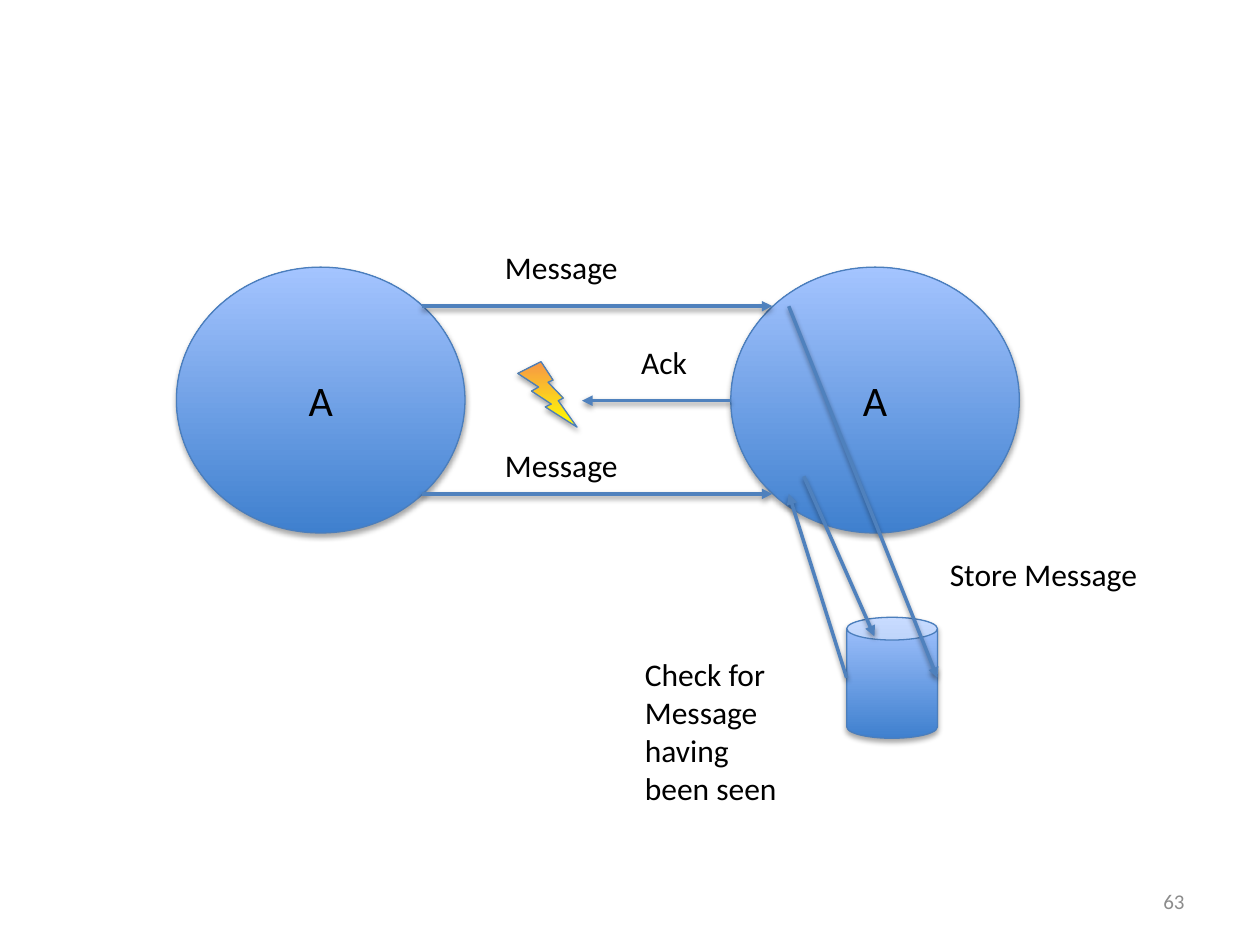
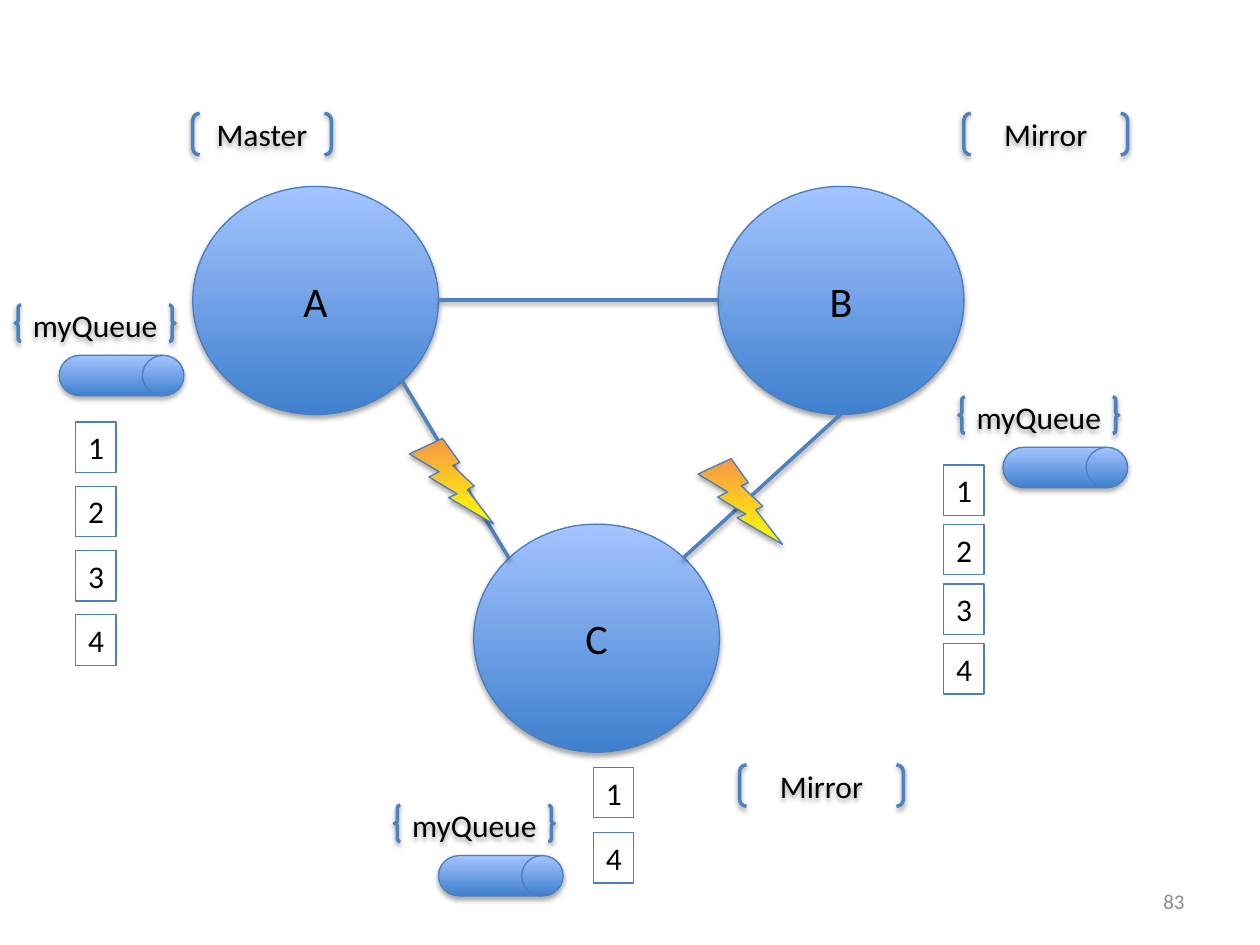
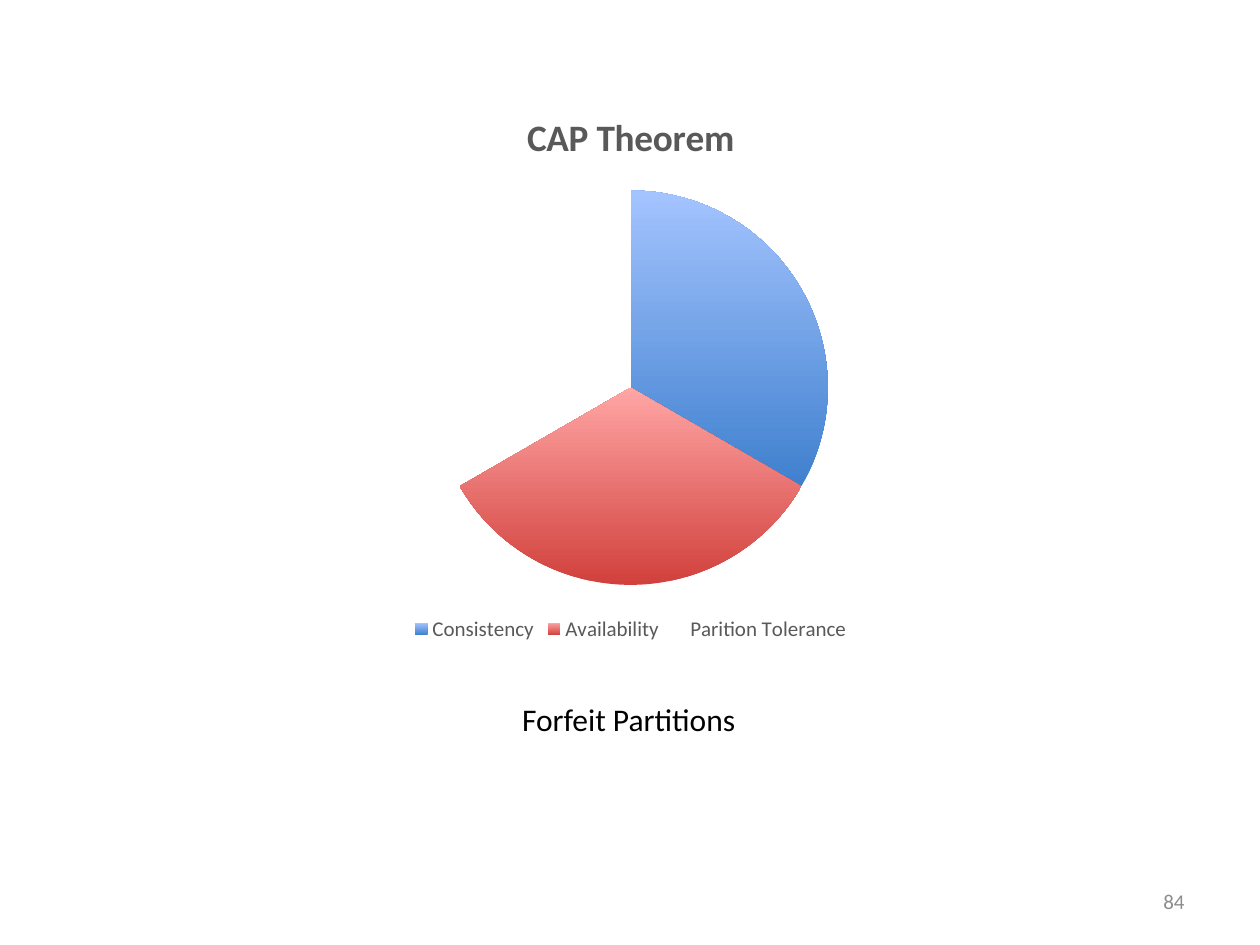
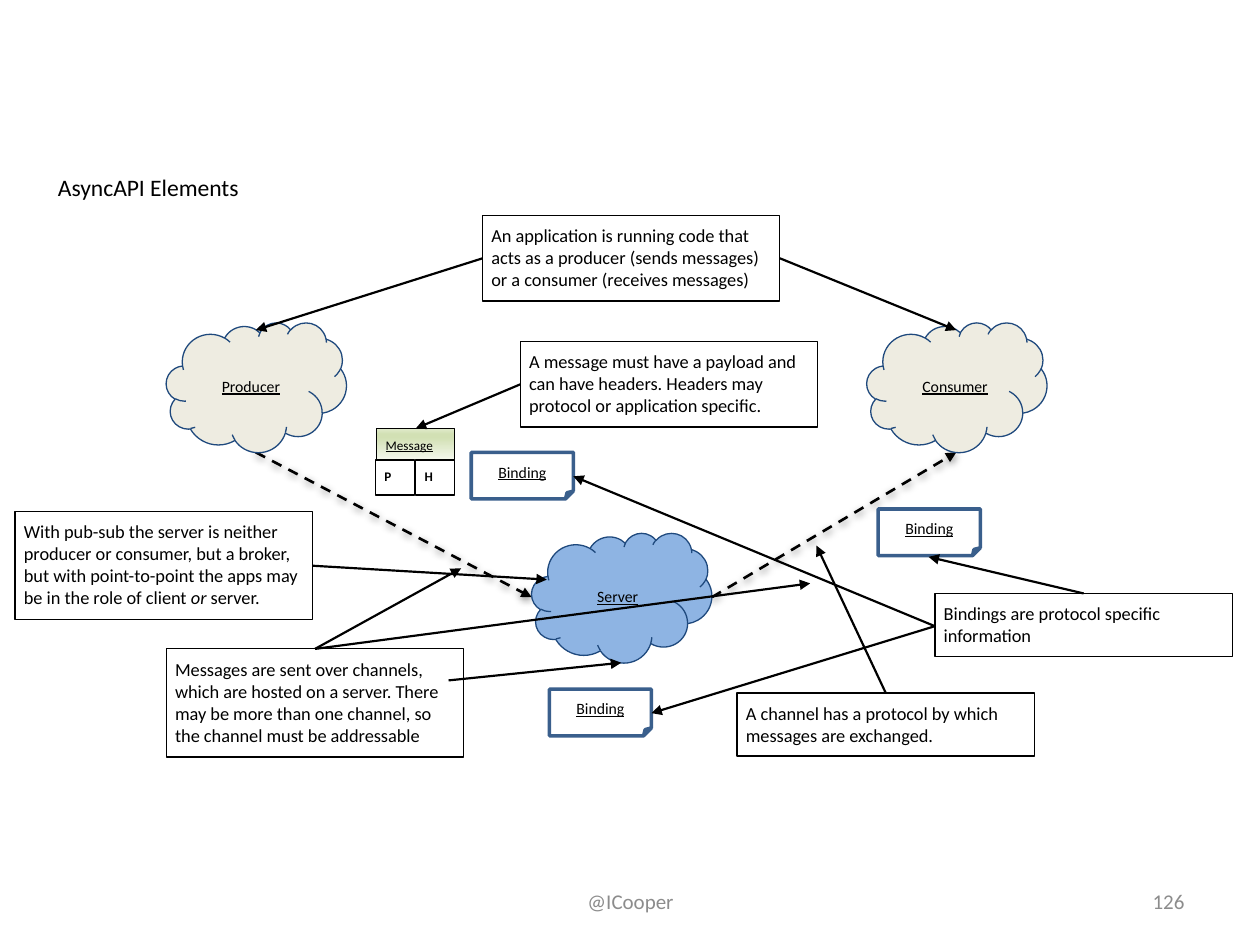
from copy import deepcopy

from lxml import etree
from pptx import Presentation
from pptx.chart.data import CategoryChartData
from pptx.dml.color import RGBColor
from pptx.enum.chart import XL_CHART_TYPE, XL_LEGEND_POSITION
from pptx.enum.dml import MSO_LINE
from pptx.enum.shapes import MSO_CONNECTOR, MSO_SHAPE
from pptx.enum.text import MSO_ANCHOR, MSO_AUTO_SIZE, PP_ALIGN
from pptx.oxml.ns import qn
from pptx.util import Inches, Pt

ELLIPSE, RECT, CLOUD = MSO_SHAPE.OVAL, MSO_SHAPE.RECTANGLE, MSO_SHAPE.CLOUD
BOLT, CAN, DRUM = MSO_SHAPE.LIGHTNING_BOLT, MSO_SHAPE.CAN, MSO_SHAPE.FLOWCHART_DIRECT_ACCESS_STORAGE
BRACKETS, BRACES, FOLDED = MSO_SHAPE.DOUBLE_BRACKET, MSO_SHAPE.DOUBLE_BRACE, MSO_SHAPE.FOLDED_CORNER
STRAIGHT, DASH = MSO_CONNECTOR.STRAIGHT, MSO_LINE.DASH
LEFT, CENTER, RIGHT = PP_ALIGN.LEFT, PP_ALIGN.CENTER, PP_ALIGN.RIGHT
TOP, MIDDLE = MSO_ANCHOR.TOP, MSO_ANCHOR.MIDDLE
NO_FIT = MSO_AUTO_SIZE.NONE
PIE, LEGEND_BOTTOM = XL_CHART_TYPE.PIE, XL_LEGEND_POSITION.BOTTOM

COLUMNS, ROWS = 100, 75
TITLE_ONLY, BLANK = 5, 6
FONT = "Calibri"
BLACK, WHITE, GREY, CHART_GREY = "000000", "FFFFFF", "8C8C8C", "595959"
ACCENT, OUTLINE, NAVY, BINDING_EDGE = "4F81BD", "4B7EBC", "1F497D", "3A5F8C"
SAND, SKY = "EEECE1", "8EB4E3"
BLUE_FADE = [(0, "3F80CE"), (1, "A4C4FF")]
RED_FADE = [(0, "D1403C"), (1, "FFA6A5")]
FIRE_FADE = [(0, "FFFF00"), (1, "F79646")]
GREEN_FADE = [(0, "FAFCF7"), (0.74, "D2E0B4"), (0.83, "D2E0B4"), (1, "E1EBCD")]
SOLID_SHADOW = (35, 3.1, 1.8)
LINE_SHADOW = (38, 3.1, 1.6)
DEEP_SHADOW = (50, 4.5, 1.5)
TIGHT = 0.7


def rgb(value):
    """Turn a hex string into a colour."""
    return RGBColor.from_string(value)


def fade(fill, stops):
    """Colour the stops of a gradient that runs from bottom to top."""
    fill.gradient_angle = 90
    for stop, (position, color) in zip(fill.gradient_stops, stops):
        stop.position = position
        stop.color.rgb = rgb(color)


def set_shadow(element, shadow):
    """Replace the theme shadow by a downward one, or by none."""
    effects = etree.SubElement(element.spPr, qn("a:effectLst"))
    if shadow:
        alpha, blur, distance = shadow
        outer = etree.SubElement(effects, qn("a:outerShdw"), blurRad=str(Pt(blur)),
                                 dist=str(Pt(distance)), dir="5400000", rotWithShape="0")
        color = etree.SubElement(outer, qn("a:srgbClr"), val=BLACK)
        etree.SubElement(color, qn("a:alpha"), val=str(alpha * 1000))


class Deck:
    """Hold the shared style and the slide being built."""

    def __init__(self):
        """Open a presentation and fix its grid."""
        self.prs = Presentation()
        self.prs.slide_width, self.prs.slide_height = Inches(10), Inches(7.5)
        self.slide = None

    def x(self, columns):
        """Convert columns to a length."""
        return round(self.prs.slide_width * columns / COLUMNS)

    def y(self, rows):
        """Convert rows to a length."""
        return round(self.prs.slide_height * rows / ROWS)

    def frame(self, left, top, width, height):
        """Convert a grid rectangle to lengths."""
        return self.x(left), self.y(top), self.x(width), self.y(height)

    def new_slide(self, number, title=None):
        """Start a numbered slide, titled if asked."""
        layout = self.prs.slide_layouts[TITLE_ONLY if title else BLANK]
        self.slide = self.prs.slides.add_slide(layout)
        if title:
            heading = self.slide.shapes.title
            heading.left, heading.top, heading.width, heading.height = self.frame(3.9, 13, 64.9, 3.8)
            self.put_text(heading, title, 13.5, inset=TIGHT)
        self.label((71.7, 69.5, 23.3, 4), number, 12, GREY, RIGHT, MIDDLE)

    def put_text(self, holder, text, size=18, color=BLACK, align=LEFT, anchor=TOP,
                 inset=None, wrap=True, bold=None, underline=None):
        """Fill a holder with one paragraph; every second part of a tuple is italic."""
        body = holder.text_frame
        body.auto_size, body.word_wrap, body.vertical_anchor = NO_FIT, wrap, anchor
        if inset is not None:
            body.margin_left = body.margin_right = self.x(inset)
            body.margin_top = body.margin_bottom = self.y(inset)
        paragraph = body.paragraphs[0]
        paragraph.alignment = align
        for index, part in enumerate((text,) if isinstance(text, str) else text):
            run = paragraph.add_run()
            run.text = part
            if index % 2:
                run.font.italic = True
        font = paragraph.font
        font.name, font.size, font.color.rgb = FONT, Pt(size), rgb(color)
        font.bold, font.underline = bold, underline

    def label(self, area, text, *args, **style):
        """Add plain text."""
        self.put_text(self.slide.shapes.add_textbox(*self.frame(*area)), text, *args, **style)

    def shape(self, kind, area, fill=None, line=OUTLINE, weight=0.75, shadow=None):
        """Add a preset shape with a flat, graded or empty fill."""
        shape = self.slide.shapes.add_shape(kind, *self.frame(*area))
        if fill is None:
            shape.fill.background()
        elif isinstance(fill, str):
            shape.fill.solid()
            shape.fill.fore_color.rgb = rgb(fill)
        else:
            shape.fill.gradient()
            stop_list = shape._element.find(".//" + qn("a:gsLst"))
            for _ in fill[2:]:
                stop_list.append(deepcopy(stop_list[0]))
            fade(shape.fill, fill)
        shape.line.color.rgb, shape.line.width = rgb(line), Pt(weight)
        set_shadow(shape._element, shadow)
        return shape

    def solid(self, kind, area, fill=BLUE_FADE):
        """Add a graded shape that casts a shadow."""
        return self.shape(kind, area, fill, shadow=SOLID_SHADOW)

    def node(self, area, name):
        """Add a named round node."""
        self.put_text(self.solid(ELLIPSE, area), name, 24, align=CENTER, anchor=MIDDLE)

    def tag(self, kind, area, text):
        """Add text held in brackets or braces."""
        pair = self.shape(kind, area, line=ACCENT, weight=2, shadow=LINE_SHADOW)
        self.put_text(pair, text, align=CENTER, anchor=MIDDLE)

    def queue(self, left, top, entries, entries_left, entries_top, pitch):
        """Add a queue with its name and its stacked entries."""
        self.solid(DRUM, (left + 3.5, top + 4, 9.9, 3.2))
        self.tag(BRACES, (left, top, 12.7, 2.9), "myQueue")
        for row, entry in enumerate(entries):
            cell = self.shape(RECT, (entries_left, entries_top + row * pitch, 3.2, 4))
            self.put_text(cell, entry)

    def line(self, start, end, color=ACCENT, weight=2, arrow=True, dash=None, shadow=LINE_SHADOW):
        """Add a straight line or arrow."""
        link = self.slide.shapes.add_connector(
            STRAIGHT, self.x(start[0]), self.y(start[1]), self.x(end[0]), self.y(end[1]))
        link.line.color.rgb, link.line.width = rgb(color), Pt(weight)
        if dash:
            link.line.dash_style = dash
        if arrow:
            outline = link._element.spPr.find(qn("a:ln"))
            etree.SubElement(outline, qn("a:tailEnd"), type="triangle")
        set_shadow(link._element, shadow)

    def note(self, left, top, height, text):
        """Add a framed explanation."""
        frame = self.shape(RECT, (left, top, 23.6, height), line=BLACK)
        self.put_text(frame, text, 10.5, inset=TIGHT)

    def pie(self, area, title, categories, values, fades):
        """Add a pie whose slices without a fade stay empty."""
        data = CategoryChartData()
        data.categories = categories
        data.add_series(title, values)
        chart = self.slide.shapes.add_chart(PIE, *self.frame(*area), data).chart
        chart.font.name, chart.font.size, chart.font.color.rgb = FONT, Pt(10), rgb(BLACK)
        chart.has_title = True
        heading = chart.chart_title.text_frame
        heading.text = title
        chart.has_legend = True
        chart.legend.position, chart.legend.include_in_layout = LEGEND_BOTTOM, False
        for font, size in ((heading.paragraphs[0].font, 21.3), (chart.legend.font, 12)):
            font.name, font.size, font.color.rgb = FONT, Pt(size), rgb(CHART_GREY)
        heading.paragraphs[0].font.bold = True
        plot = chart.plots[0]
        plot.vary_by_categories = True
        for index, stops in enumerate(fades):
            look = plot.series[0].points[index].format
            look.line.fill.background()
            if stops:
                look.fill.gradient()
                fade(look.fill, stops)
            else:
                look.fill.background()


def build_lost_ack(deck):
    """Show a message sent again after its acknowledgement is lost."""
    deck.new_slide("63")
    for left in (14, 58):
        deck.node((left, 21.2, 22.9, 21.1), "A")
    for start, end in (((33.5, 24.3), (61.3, 24.3)), ((58, 31.8), (46.2, 31.8)),
                       ((33.5, 39.2), (61.3, 39.2))):
        deck.line(start, end)
    for top in (19.2, 34.9):
        deck.label((39.1, top, 16.7, 4), "Message")
    deck.label((49.9, 26.7, 5.9, 4), "Ack")
    deck.label((50.2, 51.5, 13, 13.1), "Check for Message having been seen")
    deck.solid(BOLT, (41.1, 28.7, 4.7, 5.2), FIRE_FADE)
    deck.solid(CAN, (67.2, 49, 7.2, 9.6))
    for start, end in (((63.8, 37.8), (69.4, 50.5)), ((62.6, 24.3), (74.4, 53.8)),
                       ((67.2, 53.8), (62.6, 39.2))):
        deck.line(start, end)
    deck.label((74.4, 43.6, 17, 4), "Store Message", wrap=False)


def build_mirrors(deck):
    """Show a master and two mirrors, one of them cut off."""
    deck.new_slide("83")
    for left, top, name in ((15.3, 14.8, "A"), (57, 14.8, "B"), (37.6, 41.6, "C")):
        deck.node((left, top, 19.5, 18.1), name)
    for left, top, width, role in ((15.3, 9, 11, "Master"), (76.5, 9, 13, "Mirror"),
                                   (58.7, 60.7, 13, "Mirror")):
        deck.tag(BRACKETS, (left, top, width, 3.3), role)
    for start, end in (((40.4, 44.3), (31.9, 30.2)), ((54.2, 44.3), (66.7, 32.9)),
                       ((34.8, 23.8), (57, 23.8))):
        deck.line(start, end, arrow=False)
    deck.queue(1.2, 24.2, "1234", 6, 33.5, 5.1)
    deck.queue(31.3, 63.9, "14", 47.1, 60.9, 5.2)
    deck.queue(76.1, 31.5, "1234", 74.9, 36.9, 4.73)
    for left, top in ((55.4, 36.4), (32.5, 34.8)):
        deck.solid(BOLT, (left, top, 6.7, 6.8), FIRE_FADE)


def build_cap(deck):
    """Show the CAP theorem without partition tolerance."""
    deck.new_slide("84")
    deck.pie((16.7, 6.9, 66.7, 44.4), "CAP Theorem",
             ("Consistency", "Availability", "Parition Tolerance"), (33, 33, 33),
             (BLUE_FADE, RED_FADE, None))
    deck.label((18.2, 55.1, 63.4, 4), "Forfeit Partitions", align=CENTER)


def build_elements(deck):
    """Show the parts of an AsyncAPI description."""
    deck.new_slide("126", "AsyncAPI Elements")
    deck.label((34.2, 69.5, 31.7, 4), "@ICooper", 12, GREY, CENTER, MIDDLE)
    for start, end in (((20.3, 35.9), (42.2, 47.4)), ((56.5, 47.4), (75.9, 35.9))):
        deck.line(start, end, BLACK, 1.5, dash=DASH, shadow=DEEP_SHADOW)
    for left, top, fill, role, indent, width in (
            (13.2, 25.6, SAND, "Producer", 3.7, 6.9), (68.8, 25.6, SAND, "Consumer", 3.7, 6.9),
            (42.2, 42.3, SKY, "Server", 4.5, 5)):
        deck.shape(CLOUD, (left, top, 14.3, 10.3), fill, NAVY)
        deck.label((left + indent, top + 3.6, width, 3), role, 9, inset=TIGHT, underline=True)

    message = deck.shape(RECT, (29.9, 34, 6.2, 2.8), GREEN_FADE, BLACK)
    deck.put_text(message, "Message", 7.5, inset=TIGHT, underline=True)
    for left, part in ((29.8, "P"), (33, "H")):
        cell = deck.shape(RECT, (left, 36.5, 3.1, 2.8), WHITE, BLACK)
        deck.put_text(cell, part, 7.5, inset=TIGHT, bold=True)
    for left, top in ((69.7, 40.4), (43.6, 54.7), (37.4, 35.9)):
        binding = deck.shape(FOLDED, (left, top, 8.1, 3.7), WHITE, BINDING_EDGE, 2)
        deck.put_text(binding, "Binding", 9, align=CENTER, anchor=MIDDLE, underline=True)

    for left, top, height, text in (
            (38.3, 17.1, 6.8, "An application is running code that acts as a producer "
                              "(sends messages) or a consumer (receives messages)"),
            (41.3, 27.1, 6.8, "A message must have a payload and can have headers. "
                              "Headers may protocol or application specific."),
            (13.2, 51.5, 8.6, "Messages are sent over channels, which are hosted on a server. There "
                              "may be more than one channel, so the channel must be addressable"),
            (58.5, 55, 5, "A channel has a protocol by which messages are exchanged."),
            (74.2, 47.1, 5, "Bindings are protocol specific information"),
            (1.2, 40.6, 8.6, ("With pub-sub the server is neither producer or consumer, but a broker, "
                              "but with point-to-point the apps may be in the role of client ",
                              "or", " server."))):
        deck.note(left, top, height, text)

    for start, *targets in (
            ((38.3, 20.5), (20.3, 26.2)), ((61.9, 20.5), (75.9, 26.2)),
            ((41.3, 30.5), (33, 34)), ((25, 51.5), (36.6, 45.1), (64.3, 46.3)),
            ((35.6, 54), (49.3, 52.6)), ((70.3, 55), (64.8, 43.3)),
            ((86, 47.1), (73.7, 44.2)), ((74.2, 49.7), (51.7, 56.6), (45.5, 37.8)),
            ((24.8, 44.9), (43.4, 46))):
        for target in targets:
            deck.line(start, target, BLACK, 1.25, shadow=None)


def main():
    """Build the slides and save them."""
    deck = Deck()
    for build in (build_lost_ack, build_mirrors, build_cap, build_elements):
        build(deck)
    deck.prs.save("out.pptx")


if __name__ == "__main__":
    main()
